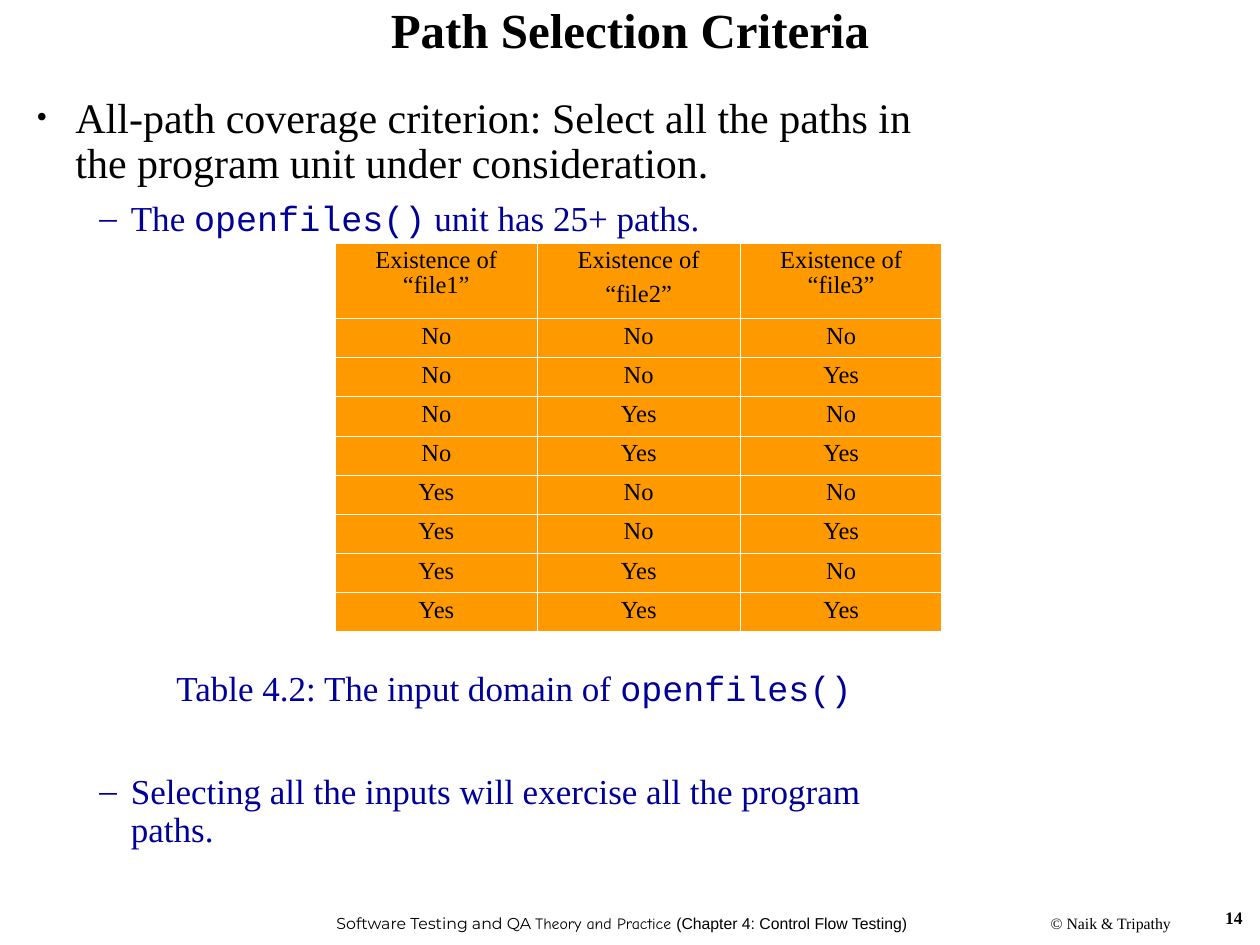
from dataclasses import dataclass

from lxml import etree
from pptx import Presentation
from pptx import util as u
from pptx.dml.color import RGBColor
from pptx.enum import text as t
from pptx.oxml.ns import qn


@dataclass(frozen=True)
class Theme:
    ink: str = "000000"
    accent: str = "000099"
    cell: str = "FF9900"
    rule: str = "FFFFFF"
    serif: str = "Times New Roman"
    code: str = "Courier New"
    title: float = 28
    lead: float = 24
    point: float = 20
    table: float = 14
    number: float = 10
    footer: float = 9


@dataclass(frozen=True)
class Box:
    """Place on the slide, as shares of its width and height."""
    left: float
    top: float
    width: float
    height: float

    def lengths(self) -> tuple[int, int, int, int]:
        return (u.Inches(self.left * WIDTH), u.Inches(self.top * HEIGHT),
                u.Inches(self.width * WIDTH), u.Inches(self.height * HEIGHT))


@dataclass(frozen=True)
class Run:
    text: str
    font: str | None = None


@dataclass(frozen=True)
class Point:
    runs: tuple[Run, ...]
    size: float
    color: str
    margin: float
    indent: float
    before: float
    bullet: str | None = None
    bullet_size: int = 100
    align: t.PP_ALIGN = t.PP_ALIGN.LEFT


THEME = Theme()
WIDTH, HEIGHT = 10, 7.5
CENTER, RIGHT = t.PP_ALIGN.CENTER, t.PP_ALIGN.RIGHT
OPENFILES = Run("openfiles()", THEME.code)
SUBPOINT = dict(size=THEME.point, color=THEME.accent, margin=0.75, indent=-0.25)

# The caption's space before leaves room for the table
POINTS = (
    Point((Run("All-path coverage criterion: Select all the paths in "
               "the program unit under consideration."),),
          THEME.lead, THEME.ink, 0.31, -0.31, 9, "•", 75),
    Point((Run("The "), OPENFILES, Run(" unit has 25+ paths.")),
          before=7.5, bullet="–", **SUBPOINT),
    Point((Run("Table 4.2: The input domain of "), OPENFILES),
          before=247, align=CENTER, **SUBPOINT),
    Point((Run("Selecting all the inputs will exercise all the program paths."),),
          before=37.5, bullet="–", **SUBPOINT),
)

HEADERS = (("Existence of “file1”",), ("Existence of", "“file2”"),
           ("Existence of “file3”",))
# Every combination of the three files, counted in binary
ANSWERS = [tuple(("Yes" if case >> bit & 1 else "No",) for bit in (2, 1, 0))
           for case in range(8)]


def style(paragraph, size: float, color: str = THEME.ink, bold: bool = False,
          font: str | None = THEME.serif) -> None:
    paragraph.font.size = u.Pt(size)
    paragraph.font.color.rgb = RGBColor.from_string(color)
    paragraph.font.bold = bold
    if font:
        paragraph.font.name = font


def add_runs(paragraph, runs: tuple[Run, ...]) -> None:
    for part in runs:
        run = paragraph.add_run()
        run.text = part.text
        if part.font:
            run.font.name = part.font


def set_bullet(paragraph, point: Point) -> None:
    props = paragraph._p.get_or_add_pPr()
    props.set("marL", str(u.Inches(point.margin)))
    props.set("indent", str(u.Inches(point.indent)))
    if not point.bullet:
        etree.SubElement(props, qn("a:buNone"))
        return
    color = etree.SubElement(props, qn("a:buClr"))
    etree.SubElement(color, qn("a:srgbClr"), val=point.color)
    etree.SubElement(props, qn("a:buSzPct"), val=str(point.bullet_size * 1000))
    etree.SubElement(props, qn("a:buFont"), typeface=THEME.serif)
    etree.SubElement(props, qn("a:buChar"), char=point.bullet)


def add_title(slide, text: str, box: Box) -> None:
    title = slide.shapes.title
    title.left, title.top, title.width, title.height = box.lengths()
    frame = title.text_frame
    frame.text = text
    frame.auto_size = t.MSO_AUTO_SIZE.NONE
    frame.vertical_anchor = t.MSO_ANCHOR.MIDDLE
    heading = frame.paragraphs[0]
    heading.alignment, heading.line_spacing = CENTER, 0.9
    style(heading, THEME.title, bold=True)


def add_points(slide, points: tuple[Point, ...], box: Box) -> None:
    frame = slide.shapes.add_textbox(*box.lengths()).text_frame
    frame.word_wrap = True
    for index, point in enumerate(points):
        paragraph = frame.add_paragraph() if index else frame.paragraphs[0]
        paragraph.alignment, paragraph.line_spacing = point.align, 0.9
        paragraph.space_before = u.Pt(point.before)
        set_bullet(paragraph, point)
        add_runs(paragraph, point.runs)
        style(paragraph, point.size, point.color)


def add_label(slide, runs: tuple[Run, ...], box: Box, size: float,
              align: t.PP_ALIGN = CENTER, bold: bool = False,
              anchor: t.MSO_ANCHOR = t.MSO_ANCHOR.MIDDLE, wrap: bool = False) -> None:
    frame = slide.shapes.add_textbox(*box.lengths()).text_frame
    frame.word_wrap, frame.vertical_anchor = wrap, anchor
    label = frame.paragraphs[0]
    label.alignment = align
    add_runs(label, runs)
    style(label, size, bold=bold)


def fill_cell(cell, lines: tuple[str, ...], outer: dict[str, bool]) -> None:
    frame = cell.text_frame
    for index, line in enumerate(lines):
        paragraph = frame.add_paragraph() if index else frame.paragraphs[0]
        paragraph.alignment, paragraph.line_spacing = CENTER, 0.9
        paragraph.space_before = u.Pt(5.2)
        add_runs(paragraph, (Run(line),))
        style(paragraph, THEME.table)
    props = cell._tc.get_or_add_tcPr()
    for side, is_outer in outer.items():
        border = etree.SubElement(props, qn(f"a:ln{side}"),
                                  w=str(u.Pt(1.08 if is_outer else 0.45)))
        fill = etree.SubElement(border, qn("a:solidFill"))
        etree.SubElement(fill, qn("a:srgbClr"), val=THEME.rule)
    cell.fill.solid()
    cell.fill.fore_color.rgb = RGBColor.from_string(THEME.cell)


def add_input_domain(slide, box: Box) -> None:
    rows = [HEADERS, *ANSWERS]
    last_row, last_col = len(rows) - 1, len(HEADERS) - 1
    table = slide.shapes.add_table(len(rows), len(HEADERS), *box.lengths()).table
    for row, cells in enumerate(rows):
        table.rows[row].height = u.Inches(0.31 if row else 0.6)
        for col, lines in enumerate(cells):
            fill_cell(table.cell(row, col), lines,
                      {"L": col == 0, "R": col == last_col,
                       "T": row == 0, "B": row == last_row})


def main() -> None:
    deck = Presentation()
    deck.slide_width, deck.slide_height = u.Inches(WIDTH), u.Inches(HEIGHT)
    slide = deck.slides.add_slide(deck.slide_layouts[5])

    # Footer
    add_label(slide, (Run("Software Testing and QA ", "Montserrat"),
                      Run("Theory and Practice ", "Comic Neue"),
                      Run("(Chapter 4: Control Flow Testing)", "Arial")),
              Box(0.256, 0.952, 0.475, 0.05), THEME.footer)
    add_label(slide, (Run("© Naik & Tripathy"),),
              Box(0.809, 0.96, 0.145, 0.033), THEME.footer)

    # Title, points and table
    add_title(slide, "Path Selection Criteria", Box(0, 0, 1, 0.07))
    add_points(slide, POINTS, Box(0.019, 0.096, 0.728, 0.856))
    add_input_domain(slide, Box(0.266, 0.257, 0.482, 0.41))

    # Slide number
    add_label(slide, (Run("14"),), Box(0.763, 0.953, 0.233, 0.07), THEME.number,
              RIGHT, bold=True, anchor=t.MSO_ANCHOR.TOP, wrap=True)
    deck.save("out.pptx")


if __name__ == "__main__":
    main()
